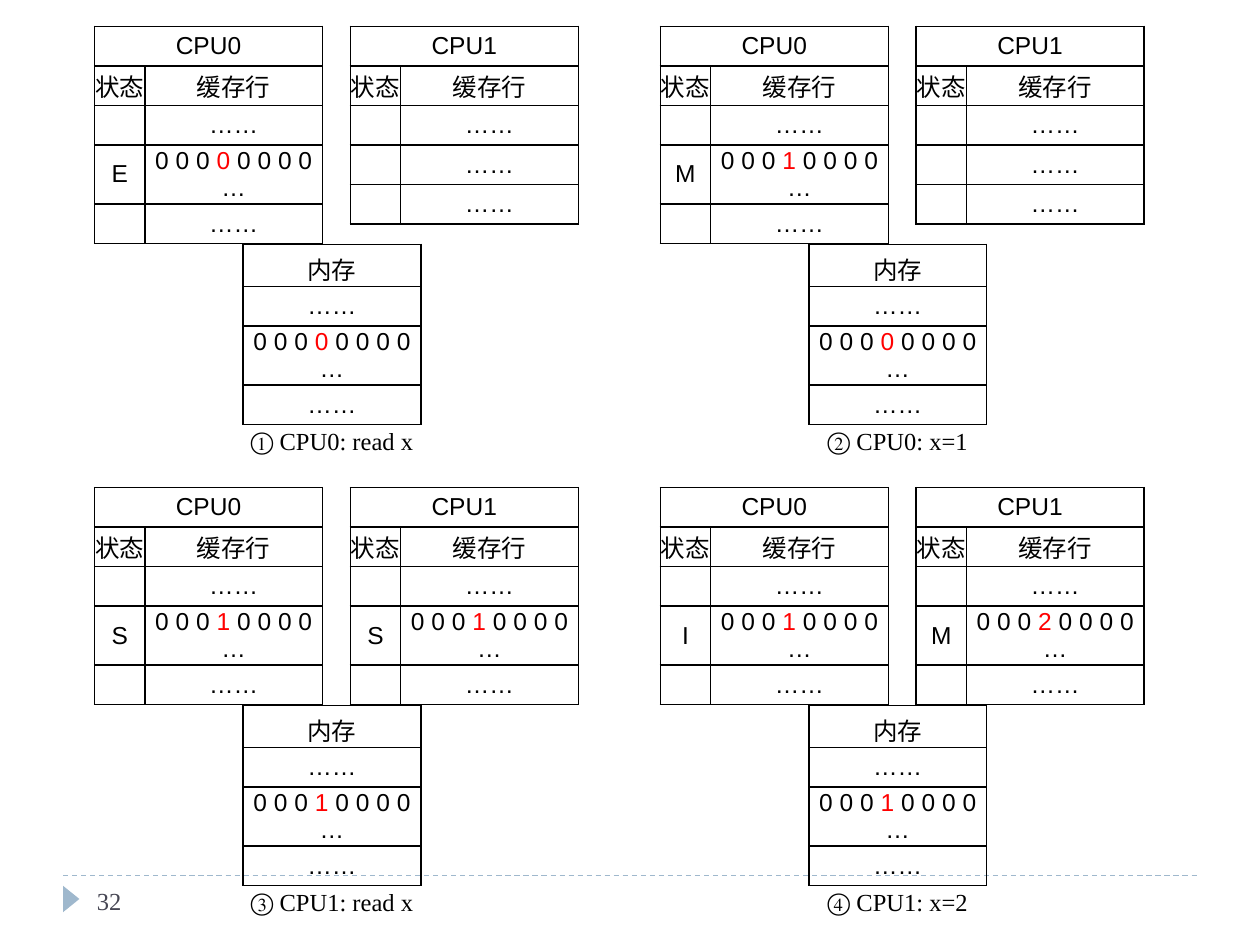
from pptx import Presentation
from pptx.dml.color import RGBColor as RGB
from pptx.enum.dml import MSO_LINE
from pptx.enum.shapes import MSO_CONNECTOR, MSO_SHAPE
from pptx.enum.text import MSO_ANCHOR as ANCHOR, MSO_AUTO_SIZE as AUTO, PP_ALIGN as ALIGN
from pptx.oxml import parse_xml
from pptx.oxml.ns import nsdecls
from pptx.util import Inches, Pt
from lxml import etree

C = {"text": "000000", "changed": "FF0000", "accent": "9FB8CD", "number": "464653"}
DOTS = "……"


def add_text(x, y, w, h, text, color, align):
    tb = s.shapes.add_textbox(Inches(x), Inches(y), Inches(w), Inches(h))
    tf = tb.text_frame
    tf.word_wrap = True
    p = tf.paragraphs[0]
    p.alignment = align
    p.font.size, p.font.name = Pt(14), "Times New Roman"
    p.font.color.rgb = RGB.from_string(C[color])
    p.add_run().text = text
    return tf


def add_grid(x, y, widths, rows):
    gf = s.shapes.add_table(len(rows), len(widths), Inches(x), Inches(y),
                            Inches(sum(widths)), Inches(0.314 * len(rows)))
    t = gf.table
    t.first_row = t.horz_banding = False
    for col, w in zip(t.columns, widths):
        col.width = Inches(w)
    for i, row in enumerate(rows):
        for j, value in enumerate(row):
            cell = t.cell(i, j)
            tcPr = cell._tc.get_or_add_tcPr()
            for side in ("lnL", "lnR", "lnT", "lnB"):
                tcPr.append(parse_xml(
                    f'<a:{side} {nsdecls("a")} w="12700"><a:solidFill>'
                    f'<a:srgbClr val="{C["text"]}"/></a:solidFill></a:{side}>'))
            cell.fill.background()
            if value != "内存":
                cell.margin_left = cell.margin_right = 0
                cell.margin_top = cell.margin_bottom = 0
                cell.vertical_anchor = ANCHOR.MIDDLE
            p = cell.text_frame.paragraphs[0]
            p.alignment = ALIGN.CENTER
            p.font.size, p.font.name = Pt(14), "Arial"
            p.font.color.rgb = RGB.from_string(C["text"])
            if isinstance(value, int):
                p.add_run().text = "0 0 0 "
                r = p.add_run()
                r.text = str(value)
                r.font.color.rgb = RGB.from_string(C["changed"])
                p.add_run().text = " 0 0 0 0 …"
            elif value:
                p.add_run().text = value
    return t


prs = Presentation()
prs.slide_width, prs.slide_height = Inches(10), Inches(7.5)
s = prs.slides.add_slide(prs.slide_layouts[6])

rule = s.shapes.add_connector(MSO_CONNECTOR.STRAIGHT, Inches(0.5), Inches(6.95),
                              Inches(9.5), Inches(6.95))
rule.line.color.rgb = RGB.from_string(C["accent"])
rule.line.width = Pt(0.75)
rule.line.dash_style = MSO_LINE.DASH
etree.SubElement(rule._element.spPr,
                 "{http://schemas.openxmlformats.org/drawingml/2006/main}effectLst")

marker = s.shapes.add_shape(MSO_SHAPE.ISOSCELES_TRIANGLE, Inches(0.46), Inches(7.07),
                            Inches(0.21), Inches(0.13))
marker.rotation = 90
marker.shadow.inherit = False
marker.fill.solid()
marker.fill.fore_color.rgb = RGB.from_string(C["accent"])
marker.line.fill.background()

tf = add_text(0.67, 6.95, 2.17, 0.4, "32", "number", ALIGN.LEFT)
tf.vertical_anchor = ANCHOR.MIDDLE

panels = [
    ("① CPU0: read x", [("E", 0), ("", DOTS)], 0),
    ("② CPU0: x=1", [("M", 1), ("", DOTS)], 0),
    ("③ CPU1: read x", [("S", 1), ("S", 1)], 1),
    ("④ CPU1: x=2", [("I", 1), ("M", 2)], 1),
]
for n, (caption, caches, memory) in enumerate(panels):
    x, y = 0.75 + n % 2 * 4.49, 0.21 + n // 2 * 3.66
    for cpu, line in enumerate(caches):
        t = add_grid(x + cpu * 2.03, y, [0.4, 1.41], [
            (f"CPU{cpu}", ""), ("状态", "缓存行"), ("", DOTS), line, ("", DOTS)])
        t.cell(0, 0).merge(t.cell(0, 1))
    add_grid(x + 1.18, y + 1.73, [1.41], [("内存",), (DOTS,), (memory,), (DOTS,)])
    tf = add_text(x + 1.1, y + 3.12, 1.57, 0.34, caption, "text", ALIGN.CENTER)
    tf.auto_size = AUTO.SHAPE_TO_FIT_TEXT

prs.save("out.pptx")
